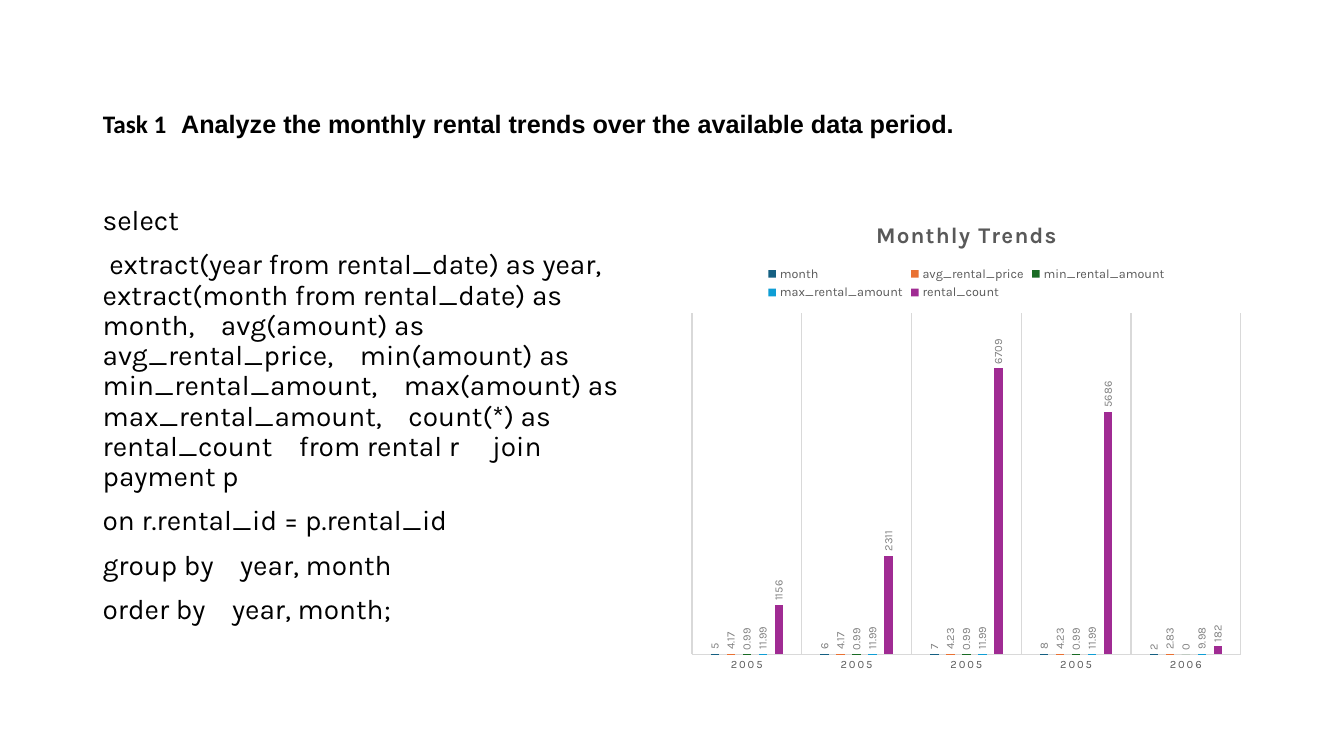
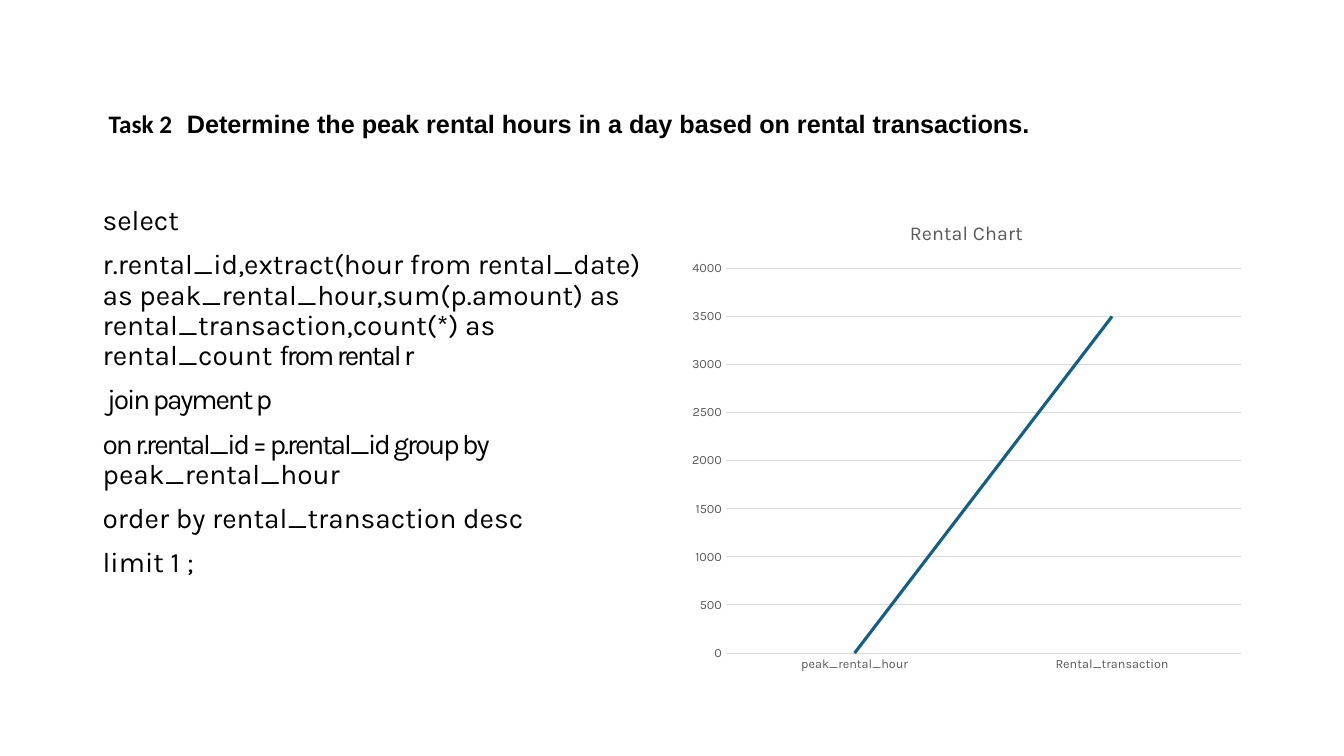
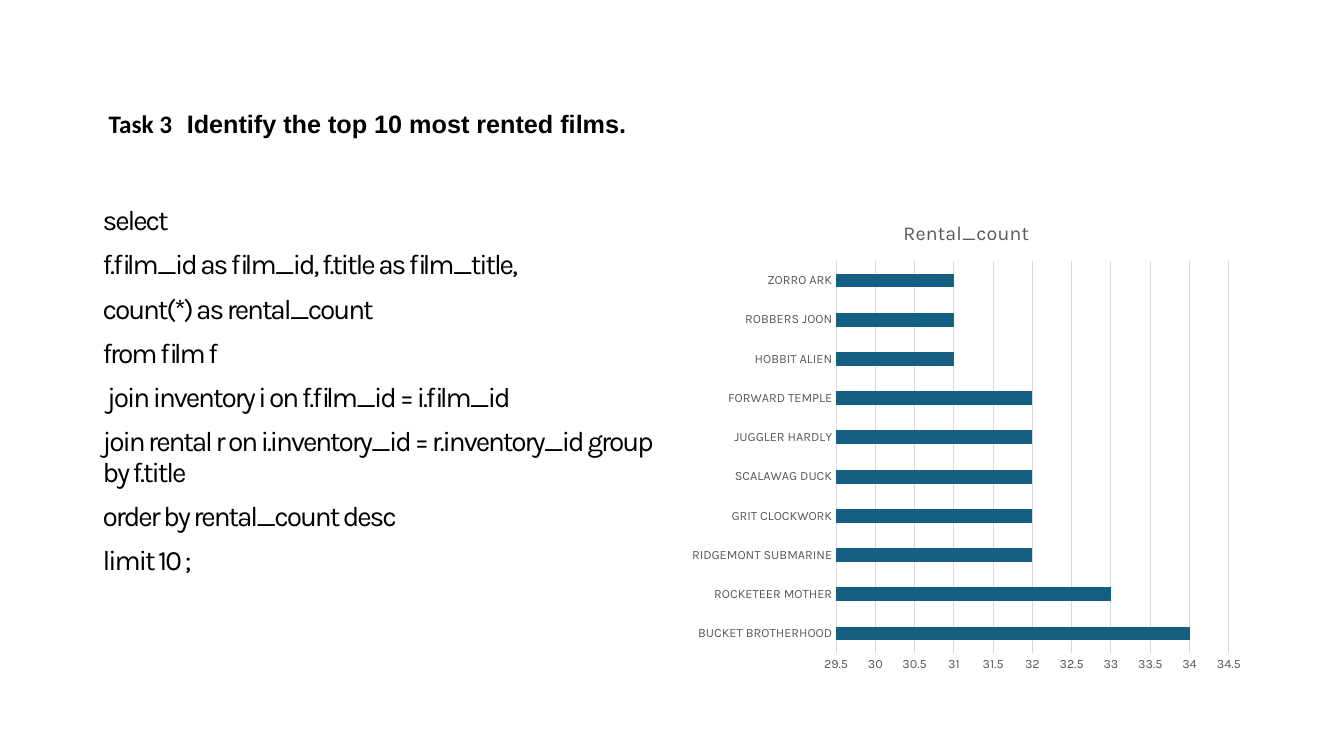
import pptx
import pptx.chart.data
import pptx.dml.color
import pptx.enum.chart
import pptx.enum.text
import pptx.util

Inches = pptx.util.Inches
Pt = pptx.util.Pt
RGBColor = pptx.dml.color.RGBColor
ChartType = pptx.enum.chart.XL_CHART_TYPE

# Shared colours and fonts
BLACK = RGBColor(0x00, 0x00, 0x00)
DARK_GREY = RGBColor(0x59, 0x59, 0x59)
LABEL_GREY = RGBColor(0x80, 0x80, 0x80)
LINE_GREY = RGBColor(0xD9, 0xD9, 0xD9)
SERIES_COLORS = [
    RGBColor(0x15, 0x60, 0x82),
    RGBColor(0xE9, 0x71, 0x32),
    RGBColor(0x19, 0x6B, 0x24),
    RGBColor(0x0F, 0x9E, 0xD5),
    RGBColor(0xA0, 0x2B, 0x93),
]
FONT = "Karla"
TIGHT = -1.5  # letter spacing of condensed query text, in points

# Content: each query paragraph is a list of (text, letter spacing) runs
tasks = [
    {
        "number": "Task 1",
        "question": "Analyze the monthly rental trends over the available data period.",
        "query": [
            [("select", 0)],
            [(" extract(year from rental_date) as year,    extract(month from rental_date) as month,"
              "    avg(amount) as avg_rental_price,    min(amount) as min_rental_amount,"
              "    max(amount) as max_rental_amount,    count(*) as rental_count"
              "    from rental r     join payment p", 0)],
            [("on r.rental_id = p.rental_id", 0)],
            [("group by    year, month", 0)],
            [("order by    year, month;", 0)],
        ],
        "chart_type": ChartType.COLUMN_CLUSTERED,
        "chart_title": "Monthly Trends",
        "categories": ["2005", "2005", "2005", "2005", "2006"],
        "series": {
            "month": [5, 6, 7, 8, 2],
            "avg_rental_price": [4.17, 4.17, 4.23, 4.23, 2.83],
            "min_rental_amount": [0.99, 0.99, 0.99, 0.99, 0],
            "max_rental_amount": [11.99, 11.99, 11.99, 11.99, 9.98],
            "rental_count": [1156, 2311, 6709, 5686, 182],
        },
        "scale": (0, 8000, 1000),
    },
    {
        "number": " Task 2",
        "question": "Determine the peak rental hours in a day based on rental transactions.",
        "query": [
            [("select", 0)],
            [("r.rental_id,extract(hour from rental_date) as peak_rental_hour,sum(p.amount) as "
              "rental_transaction,count(*) as rental_count ", 0), ("from rental r", TIGHT)],
            [(" join payment p", TIGHT)],
            [("on r.rental_id = p.rental_id group by ", TIGHT), ("peak_rental_hour", 0)],
            [("order by rental_transaction desc", 0)],
            [("limit 1 ;", 0)],
        ],
        "chart_type": ChartType.LINE,
        "chart_title": "Rental Chart",
        "categories": ["peak_rental_hour", "Rental_transaction"],
        "series": {"Series 1": [0, 3500]},
        "scale": (0, 4000, 500),
    },
    {
        "number": " Task 3",
        "question": "Identify the top 10 most rented films.",
        "query": [
            [("select", TIGHT)],
            [("f.film_id as film_id, f.title as film_title,", TIGHT)],
            [("count(*) as rental_count", TIGHT)],
            [("from film f", TIGHT)],
            [(" join inventory i on f.film_id = i.film_id", TIGHT)],
            [("join rental r on i.inventory_id = r.inventory_id group by f.title", TIGHT)],
            [("order by rental_count desc", TIGHT)],
            [("limit 10 ;", TIGHT)],
        ],
        "chart_type": ChartType.BAR_CLUSTERED,
        "chart_title": "Rental_count",
        "categories": [
            "BUCKET BROTHERHOOD", "ROCKETEER MOTHER", "RIDGEMONT SUBMARINE",
            "GRIT CLOCKWORK", "SCALAWAG DUCK", "JUGGLER HARDLY", "FORWARD TEMPLE",
            "HOBBIT ALIEN", "ROBBERS JOON", "ZORRO ARK",
        ],
        "series": {"Rental_count": [34, 33, 32, 32, 32, 32, 32, 31, 31, 31]},
        "scale": (29.5, 34.5, 0.5),
    },
]


def style_font(font, size, color, name=FONT, bold=False):
    font.size = Pt(size)
    font.name = name
    font.bold = bold
    font.color.rgb = color


def add_run(paragraph, text, size, name=FONT, bold=False, spacing=0):
    run = paragraph.add_run()
    run.text = text
    style_font(run.font, size, BLACK, name, bold)
    if spacing:
        run._r.get_or_add_rPr().set("spc", str(round(spacing * 100)))


presentation = pptx.Presentation()
presentation.slide_width = Inches(13.33)
presentation.slide_height = Inches(7.5)
title_only = presentation.slide_layouts[5]

for task in tasks:
    slide = presentation.slides.add_slide(title_only)

    # Title
    title = slide.shapes.title
    title.left, title.top = Inches(0.92), Inches(0.4)
    title.width, title.height = Inches(11.5), Inches(1.45)
    title.text_frame.auto_size = pptx.enum.text.MSO_AUTO_SIZE.NONE
    title.text_frame.vertical_anchor = pptx.enum.text.MSO_ANCHOR.MIDDLE
    paragraph = title.text_frame.paragraphs[0]
    paragraph.alignment = pptx.enum.text.PP_ALIGN.LEFT
    paragraph.line_spacing = 0.9
    add_run(paragraph, task["number"], 18, "Calibri", True)
    add_run(paragraph, " ", 44)
    add_run(paragraph, task["question"], 18, "Arial", True)
    add_run(paragraph, " ", 44)

    # Query text
    query_box = slide.shapes.add_textbox(Inches(0.92), Inches(2), Inches(5.67), Inches(4.76))
    text_frame = query_box.text_frame
    text_frame.word_wrap = True
    for index, runs in enumerate(task["query"]):
        paragraph = text_frame.add_paragraph() if index else text_frame.paragraphs[0]
        paragraph.line_spacing = 0.9
        paragraph.space_before = Pt(10)
        for text, spacing in runs:
            add_run(paragraph, text, 20, spacing=spacing)

    # Chart
    chart_data = pptx.chart.data.CategoryChartData()
    chart_data.categories = task["categories"]
    for name, values in task["series"].items():
        chart_data.add_series(name, values)
    chart = slide.shapes.add_chart(
        task["chart_type"], Inches(6.75), Inches(2), Inches(5.67), Inches(4.76), chart_data
    ).chart
    style_font(chart.font, 10, BLACK)
    is_columns = task["chart_type"] == ChartType.COLUMN_CLUSTERED
    is_line = task["chart_type"] == ChartType.LINE

    # Chart title
    chart.has_title = True
    chart.chart_title.include_in_layout = False
    chart.chart_title.text_frame.text = task["chart_title"]
    title_run = chart.chart_title.text_frame.paragraphs[0].runs[0]
    style_font(title_run.font, 16 if is_columns else 14, DARK_GREY, bold=is_columns)

    # Axes
    category_axis, value_axis = chart.category_axis, chart.value_axis
    for axis in (category_axis, value_axis):
        axis.major_tick_mark = pptx.enum.chart.XL_TICK_MARK.NONE
        style_font(axis.tick_labels.font, 9, DARK_GREY)
    category_axis.format.line.color.rgb = LINE_GREY
    category_axis.format.line.width = Pt(0.75)
    value_axis.format.line.fill.background()
    value_axis.minimum_scale, value_axis.maximum_scale, value_axis.major_unit = task["scale"]
    category_axis.has_major_gridlines = is_columns
    value_axis.has_major_gridlines = not is_columns
    grid_axis = category_axis if is_columns else value_axis
    grid_axis.major_gridlines.format.line.color.rgb = LINE_GREY
    grid_axis.major_gridlines.format.line.width = Pt(0.75)

    # Series
    plot = chart.plots[0]
    plot.vary_by_categories = False
    if not is_line:
        plot.gap_width = 444 if is_columns else 182
    for series, color in zip(plot.series, SERIES_COLORS):
        if is_line:
            series.smooth = False
            series.format.line.color.rgb = color
            series.format.line.width = Pt(2.25)
        else:
            series.format.fill.solid()
            series.format.fill.fore_color.rgb = color

    # Legend, upright labels and wide lettering of the column chart
    chart.has_legend = is_columns
    if is_columns:
        plot.overlap = -90
        value_axis.visible = False
        title_run._r.get_or_add_rPr().set("spc", "100")
        category_axis.tick_labels.font.size = Pt(8)
        category_axis.tick_labels.font._rPr.set("spc", "120")
        chart.legend.position = pptx.enum.chart.XL_LEGEND_POSITION.TOP
        chart.legend.include_in_layout = False
        style_font(chart.legend.font, 9, DARK_GREY)
        for series in plot.series:
            labels = series.data_labels
            labels.show_value = True
            labels.position = pptx.enum.chart.XL_LABEL_POSITION.OUTSIDE_END
            style_font(labels.font, 8, LABEL_GREY)
            body_properties = labels._element.get_or_add_txPr().bodyPr
            body_properties.set("rot", "-5400000")
            body_properties.set("vert", "horz")

presentation.save("out.pptx")
